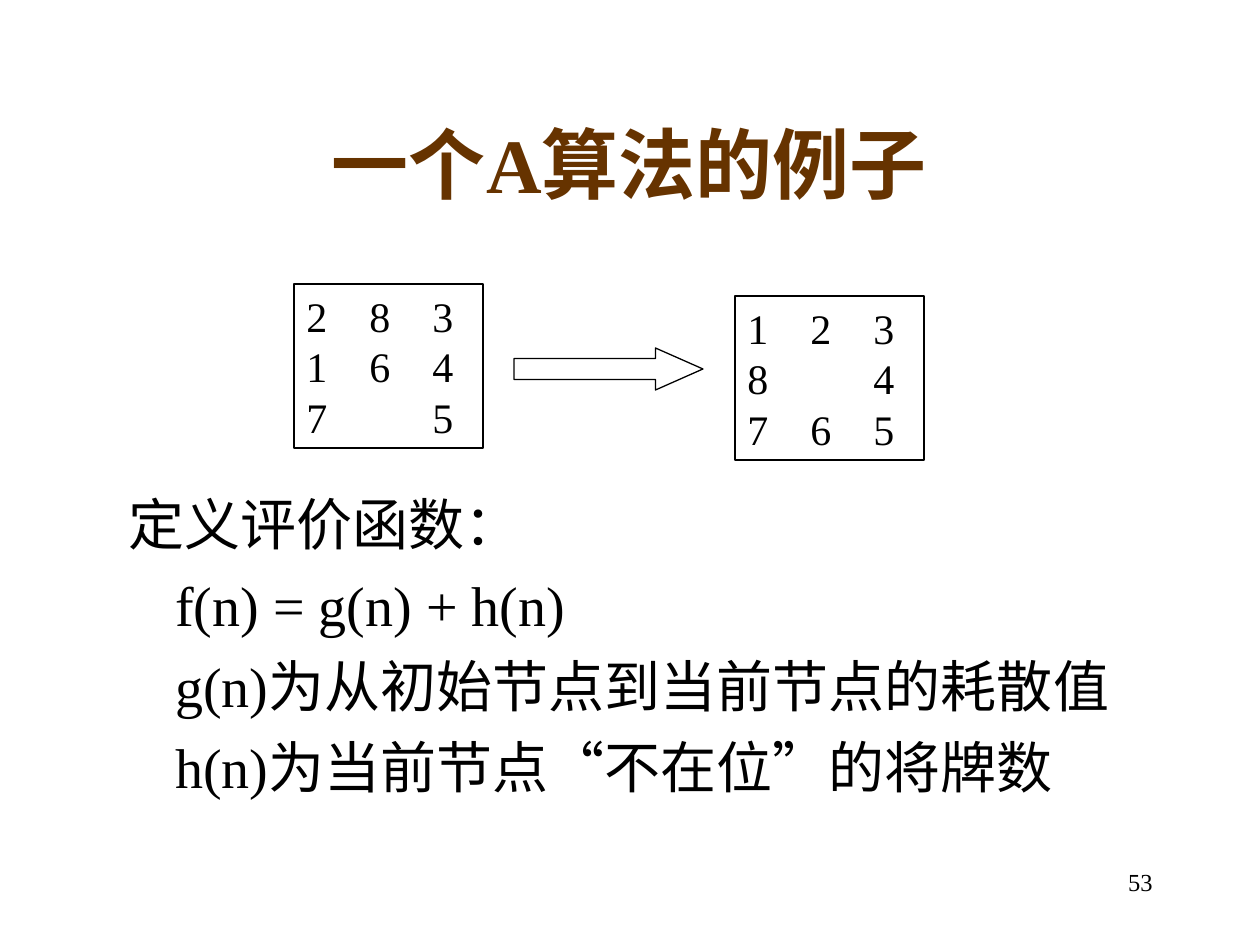
import pptx
import pptx.util
import pptx.dml.color
import pptx.enum.shapes
import pptx.enum.text
import pptx.oxml
from dataclasses import dataclass

TITLE = "一个A算法的例子"
PAGE = "53"
DEFINITIONS = [  # (text, indented)
    ("定义评价函数：", False),
    ("f(n) = g(n) + h(n)", True),
    ("g(n)为从初始节点到当前节点的耗散值", True),
    ("h(n)为当前节点“不在位”的将牌数", True),
]
PUZZLES = [  # (left, top, rows)
    (294, 284, ["283", "164", "7 5"]),
    (735, 296, ["123", "8 4", "765"]),
]
BOARD_W, BOARD_H, COLUMN = 189, 164, 63
ARROW = (514, 348, 189, 42)
INDENT = 47


@dataclass(frozen=True)
class Theme:
    font: str = "Times New Roman"
    ink: str = "000000"
    title: str = "663300"
    title_size: int = 44
    body_size: int = 32
    board_size: int = 24
    page_size: int = 14
    body_gap: int = 8
    line: float = 0.75


THEME = Theme()
ALIGN = pptx.enum.text.PP_ALIGN
ANCHOR = pptx.enum.text.MSO_ANCHOR
SHAPE = pptx.enum.shapes.MSO_SHAPE


def px(n):
    return pptx.util.Emu(round(n * 914400 / 126))


def rgb(value):
    return pptx.dml.color.RGBColor.from_string(value)


def write(p, text, size, color=THEME.ink, bold=False, align=ALIGN.LEFT):
    p.text = text
    p.alignment = align
    for r in p.runs:
        r.font.name = THEME.font
        r.font.size = pptx.util.Pt(size)
        r.font.bold = bold
        r.font.color.rgb = rgb(color)


def paragraphs(tf, count):
    return [tf.paragraphs[0]] + [tf.add_paragraph() for _ in range(count - 1)]


def add_text(s, box, anchor=ANCHOR.TOP):
    tf = s.shapes.add_textbox(*map(px, box)).text_frame
    tf.word_wrap = True
    tf.vertical_anchor = anchor
    return tf


def add_outline(s, kind, box):
    sp = s.shapes.add_shape(kind, *map(px, box))
    sp.shadow.inherit = False
    sp.fill.background()
    sp.line.color.rgb = rgb(THEME.ink)
    sp.line.width = pptx.util.Pt(THEME.line)
    return sp


def set_tabs(p, stops):
    tabs = pptx.oxml.parse_xml(
        '<a:tabLst xmlns:a="http://schemas.openxmlformats.org/drawingml/2006/main">'
        + "".join(f'<a:tab pos="{px(x)}" algn="l"/>' for x in stops)
        + "</a:tabLst>")
    p._p.get_or_add_pPr().append(tabs)


def add_board(s, left, top, rows):
    tf = add_outline(s, SHAPE.RECTANGLE, (left, top, BOARD_W, BOARD_H)).text_frame
    tf.vertical_anchor = ANCHOR.MIDDLE
    for p, row in zip(paragraphs(tf, len(rows)), rows):
        set_tabs(p, [COLUMN * i for i in range(1, len(row))])
        write(p, "\t".join(row.replace(" ", "\0")).replace("\0", ""), THEME.board_size)


def main():
    prs = pptx.Presentation()
    prs.slide_width, prs.slide_height = px(1260), px(945)
    s = prs.slides.add_slide(prs.slide_layouts[6])

    page = add_text(s, (903, 861, 262, 63))
    write(page.paragraphs[0], PAGE, THEME.page_size, align=ALIGN.RIGHT)
    title = add_text(s, (94, 84, 1071, 158), ANCHOR.MIDDLE)
    write(title.paragraphs[0], TITLE, THEME.title_size, THEME.title, True, ALIGN.CENTER)

    body = add_text(s, (116, 483, 1071, 420))
    for i, (p, (text, indented)) in enumerate(
            zip(paragraphs(body, len(DEFINITIONS)), DEFINITIONS)):
        if indented:
            p._p.get_or_add_pPr().set("marL", str(px(INDENT)))
        if i:
            p.space_before = pptx.util.Pt(THEME.body_gap)
        write(p, text, THEME.body_size)

    for puzzle in PUZZLES:
        add_board(s, *puzzle)
    arrow = add_outline(s, SHAPE.RIGHT_ARROW, ARROW)
    arrow.adjustments[0] = 0.5
    arrow.adjustments[1] = 1.13
    prs.save("out.pptx")


if __name__ == "__main__":
    main()
